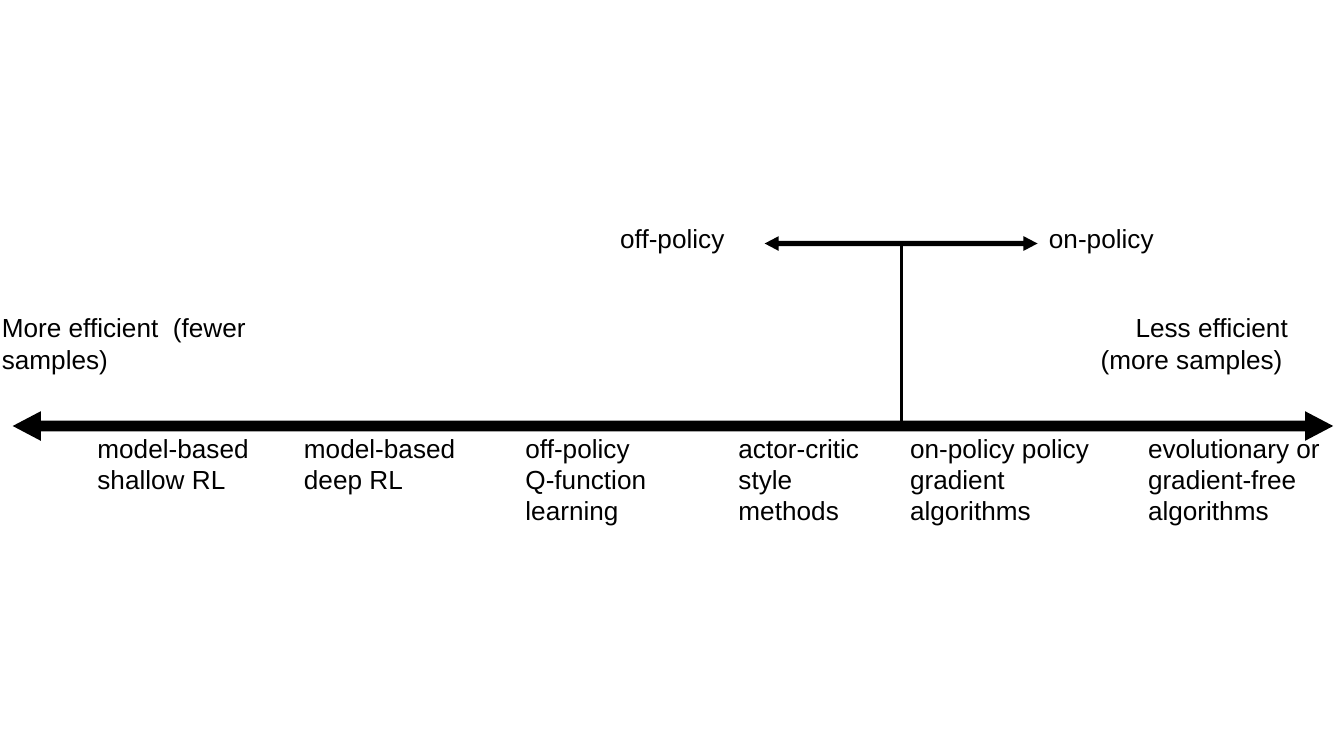
"""Build a slide ranking RL methods by sample efficiency."""
from pptx import Presentation, util as u
from pptx.dml.color import RGBColor
from pptx.enum import shapes, text
from pptx.oxml import parse_xml
from pptx.oxml.ns import nsdecls

BLACK = RGBColor(0, 0, 0)

deck = Presentation()
deck.slide_width = u.Inches(10)
deck.slide_height = deck.slide_width * 9 // 16
slide = deck.slides.add_slide(deck.slide_layouts[6])
UNIT = deck.slide_width / 100


def grid(*cells):
    return [round(cell * UNIT) for cell in cells]


def label(words, left, top, width, rows, indent=0):
    box = slide.shapes.add_textbox(*grid(left, top, width, 0.3 + 2.6 * rows))
    frame = box.text_frame
    frame.word_wrap = True
    frame.auto_size = text.MSO_AUTO_SIZE.NONE
    frame.margin_left = frame.margin_top = u.Inches(0.01)
    frame.margin_right = frame.margin_bottom = 0
    frame.text = words
    for para in frame.paragraphs:
        if indent:
            para._p.get_or_add_pPr().set("indent", str(grid(indent)[0]))
        for run in para.runs:
            run.font.name = "Arial"
            run.font.size = u.Pt(14)
            run.font.color.rgb = BLACK


AXIS, SPLIT, FORK = 31.7, 67.1, 18.12

for left, width, mid, height in (
    (0.95, 98.25, AXIS, 2.2),
    (56.9, 20.3, FORK, 1.1),
):
    arrow = slide.shapes.add_shape(
        shapes.MSO_SHAPE.LEFT_RIGHT_ARROW,
        *grid(left, mid - height / 2, width, height))
    arrow.adjustments[0], arrow.adjustments[1] = 0.36, 0.95
    arrow.shadow.inherit = False
    arrow.fill.solid()
    arrow.fill.fore_color.rgb = BLACK
    arrow.line.fill.background()

stem = slide.shapes.add_connector(
    shapes.MSO_CONNECTOR.STRAIGHT, *grid(SPLIT, AXIS, SPLIT, FORK))
stem.line.color.rgb = BLACK
stem.line.width = u.Pt(1.56)
stem._element.spPr.append(parse_xml(f"<a:effectLst {nsdecls('a')}/>"))

label("More efficient  (fewer samples)", 0.04, 23.1, 20.6, 2)
label("Less efficient (more samples)", 81.8, 23.1, 17.7, 2, indent=2.6)
label("off-policy", 46.05, 16.45, 10.4, 1)
label("on-policy", 77.95, 16.45, 10.5, 1)

for words, left, width, rows in (
    ("model-based\nshallow RL", 7.15, 12.6, 2),
    ("model-based\ndeep RL", 22.52, 12.6, 2),
    ("off-policy Q-function learning", 39, 10.4, 3),
    ("actor-critic style methods", 54.85, 10.4, 3),
    ("on-policy policy gradient algorithms", 67.62, 15, 3),
    ("evolutionary or gradient-free algorithms", 85.32, 14.68, 3),
):
    label(words, left, 32.05, width, rows)

deck.save("out.pptx")
